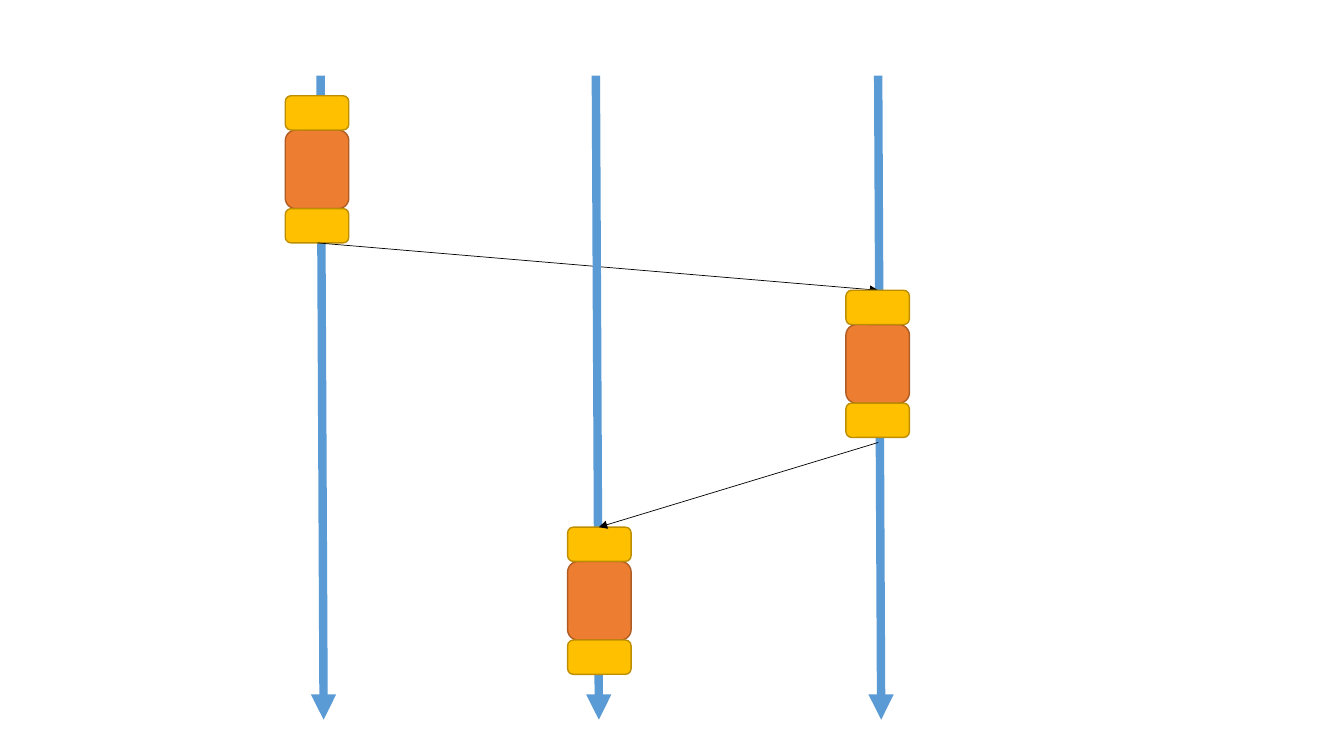
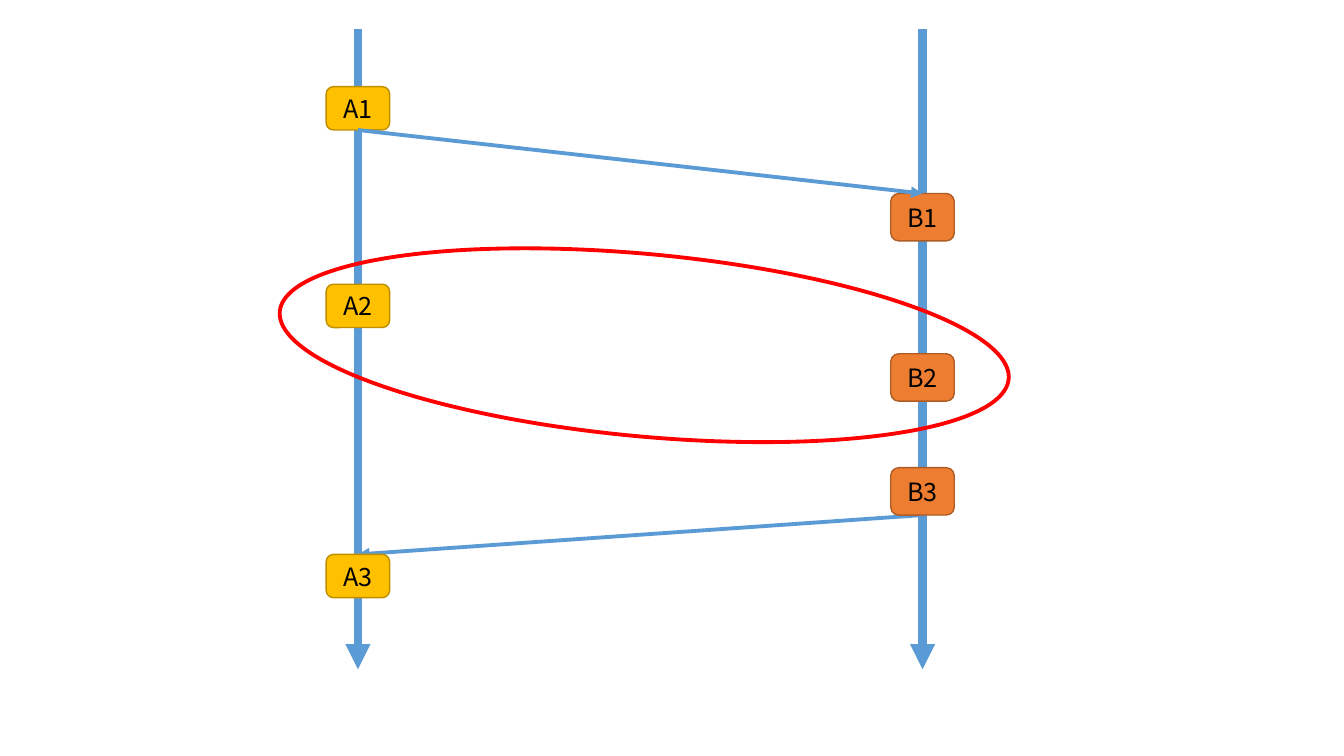
from lxml import etree
from pptx import Presentation
from pptx.dml.color import RGBColor
from pptx.enum import shapes, text
from pptx.oxml.ns import qn
from pptx.util import Inches, Pt

COLORS = {"blue": "5B9BD5", "orange": "ED7D31", "orange edge": "AF5C24",
          "gold": "FFC000", "gold edge": "BD8E00", "red": "FF0000", "black": "000000"}
FONT = "Noto Sans CJK SC"
BOX_WIDTH = 0.63
CAP_HEIGHT, BODY_HEIGHT = 0.34, 0.78

# Slide 1: parts in stacking order, (kind, position)
RELAY = [
    ("lifeline", (3.18, 0.75, 3.21, 7.14)),
    ("lifeline", (8.71, 0.75, 8.74, 7.14)),
    ("stack", (2.83, 0.95)),
    ("message", (3.15, 2.41, 8.71, 2.88)),
    ("lifeline", (5.91, 0.75, 5.94, 7.14)),
    ("stack", (8.39, 2.88)),
    ("stack", (5.63, 5.23)),
    ("message", (8.71, 4.39, 5.94, 5.23)),
]

# Slide 2: process -> centre, box height, colour, tops of its events
PROCESSES = {
    "A": (3.55, 0.43, "gold", (0.86, 2.82, 5.5)),
    "B": (9.15, 0.47, "orange", (1.92, 3.51, 4.64)),
}
EVENT_MESSAGES = [("A1", "B1"), ("B3", "A3")]
CONCURRENT = (2.76, 2.52, 7.26, 1.81)
CONCURRENT_TILT = 5.3


def rgb(name):
    return RGBColor.from_string(COLORS[name])


def arrow(slide, ends, color, width):
    line = slide.shapes.add_connector(shapes.MSO_CONNECTOR.STRAIGHT, *map(Inches, ends))
    line.line.color.rgb = rgb(color)
    line.line.width = Pt(width)
    etree.SubElement(line.line._get_or_add_ln(), qn("a:tailEnd"), type="triangle")
    etree.SubElement(line._element.spPr, qn("a:effectLst"))


def outline(slide, preset, place, edge, width, fill=None):
    shape = slide.shapes.add_shape(preset, *map(Inches, place))
    shape.shadow.inherit = False
    if fill:
        shape.fill.solid()
        shape.fill.fore_color.rgb = rgb(fill)
    else:
        shape.fill.background()
    shape.line.color.rgb = rgb(edge)
    shape.line.width = Pt(width)
    return shape


def block(slide, place, color):
    return outline(slide, shapes.MSO_SHAPE.ROUNDED_RECTANGLE, place, color + " edge", 1, color)


def write(shape, words, size=18, color="black", align=text.PP_ALIGN.CENTER):
    frame = shape.text_frame
    frame.word_wrap = True
    frame.vertical_anchor = text.MSO_ANCHOR.MIDDLE
    paragraph = frame.paragraphs[0]
    paragraph.alignment = align
    run = paragraph.add_run()
    run.text = words
    run.font.size = Pt(size)
    run.font.name = FONT
    run.font.color.rgb = rgb(color)
    etree.SubElement(run.font._element, qn("a:ea"), typeface=FONT)


def stack(slide, left, top):
    """Body between two caps; the body lies at the back."""
    body_top = top + CAP_HEIGHT
    block(slide, (left, body_top, BOX_WIDTH, BODY_HEIGHT), "orange")
    for cap_top in (top, body_top + BODY_HEIGHT):
        block(slide, (left, cap_top, BOX_WIDTH, CAP_HEIGHT), "gold")


def build_relay(slide):
    for kind, place in RELAY:
        if kind == "stack":
            stack(slide, *place)
        elif kind == "lifeline":
            arrow(slide, place, "blue", 6)
        else:
            arrow(slide, place, "black", 0.5)


def build_events(slide):
    events = {}
    for process, (center, height, color, tops) in PROCESSES.items():
        arrow(slide, (center, 0.29, center, 6.64), "blue", 6)
        for number, top in enumerate(tops, 1):
            events[f"{process}{number}"] = (center, top, height, color)

    def draw_events(names):
        for name in names:
            center, top, height, color = events[name]
            box = block(slide, (center - BOX_WIDTH / 2, top, BOX_WIDTH, height), color)
            write(box, name)

    # The first events lie under the messages, the later ones over them
    first = [name for name in events if name.endswith("1")]
    draw_events(first)
    for sender, receiver in EVENT_MESSAGES:
        x1, top, height, _ = events[sender]
        x2, y2 = events[receiver][:2]
        arrow(slide, (x1, top + height, x2, y2), "blue", 2.75)
    draw_events(name for name in events if name not in first)

    ring = outline(slide, shapes.MSO_SHAPE.OVAL, CONCURRENT, "red", 2.75)
    ring.rotation = CONCURRENT_TILT


def main():
    deck = Presentation()
    deck.slide_width, deck.slide_height = Inches(13.33), Inches(7.5)
    for build in (build_relay, build_events):
        build(deck.slides.add_slide(deck.slide_layouts[6]))
    deck.save("out.pptx")


if __name__ == "__main__":
    main()
